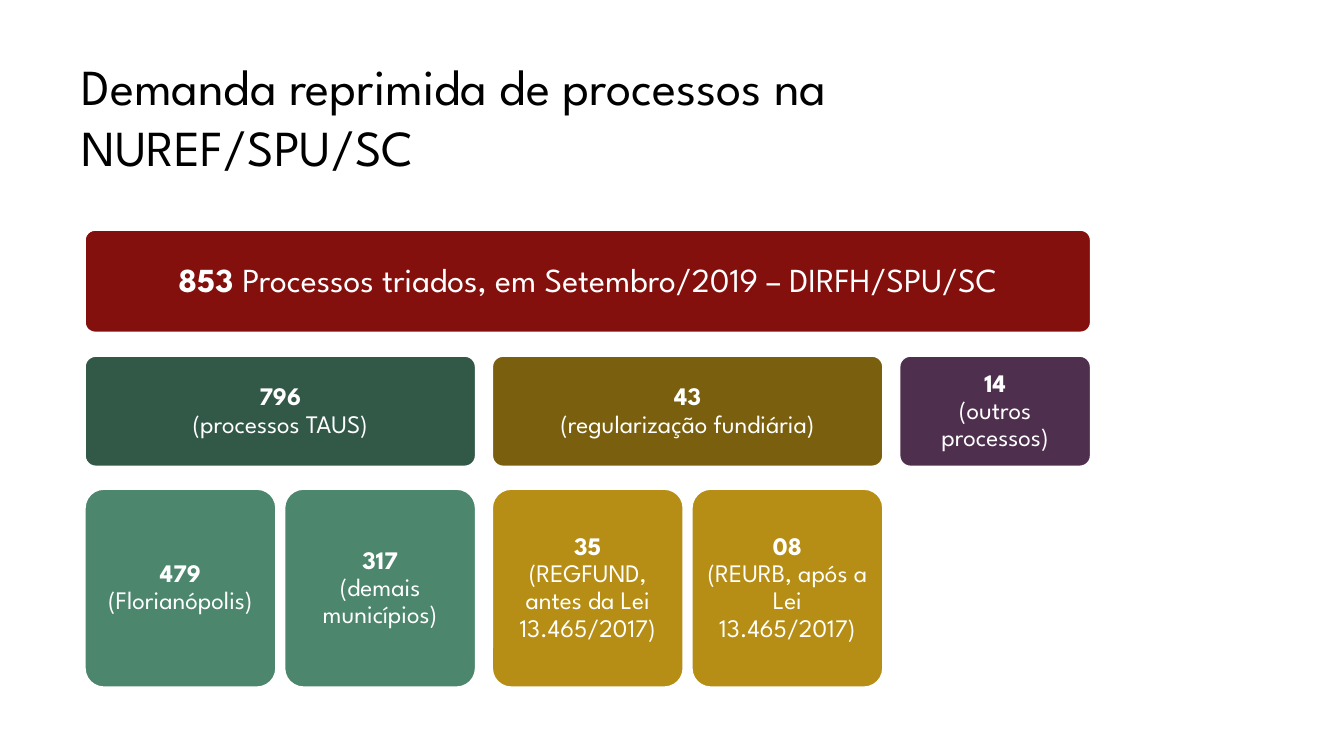
import pptx
import pptx.util
import pptx.dml.color
import pptx.enum.shapes
import pptx.enum.text

Inches, Pt = pptx.util.Inches, pptx.util.Pt
RGB = pptx.dml.color.RGBColor.from_string
ALIGN = pptx.enum.text.PP_ALIGN
ANCHOR = pptx.enum.text.MSO_ANCHOR

HUES = {"black": "000000", "white": "FFFFFF", "red": "84100E",
        "pine": "325948", "green": "4B866D", "olive": "795F0E",
        "gold": "B68E15", "plum": "4F2F4E"}

# Grid: columns come in pairs, rows are (top, height)
LEFT, PAIR, STEP, CELL = 0.84, 4.04, 1.98, 1.9
ROWS = [(2.28, 1.02), (3.53, 1.1), (4.85, 1.97)]


def add_run(para, text, size, hue, bold=False):
    run = para.add_run()
    run.text = text
    font = run.font
    font.name, font.size, font.bold = "League Spartan", Pt(size), bold
    font.color.rgb = RGB(HUES[hue])


def add_card(row, col, span, hue, size, lines):
    top, high = ROWS[row]
    left = LEFT + col // 2 * PAIR + col % 2 * STEP
    last = col + span - 1
    wide = LEFT + last // 2 * PAIR + last % 2 * STEP + CELL - left
    card = slide.shapes.add_shape(
        pptx.enum.shapes.MSO_SHAPE.ROUNDED_RECTANGLE,
        Inches(left), Inches(top), Inches(wide), Inches(high))
    card.adjustments[0] = 0.1
    card.shadow.inherit = False
    card.fill.solid()
    card.fill.fore_color.rgb = RGB(HUES[hue])
    card.line.color.rgb = RGB(HUES["white"])
    card.line.width = Pt(1.5)
    frame = card.text_frame
    frame.word_wrap = True
    frame.vertical_anchor = ANCHOR.MIDDLE
    frame.margin_left = frame.margin_right = Inches(0.06)
    frame.margin_top = frame.margin_bottom = Inches(0.06)
    for i, runs in enumerate(lines):
        para = frame.add_paragraph() if i else frame.paragraphs[0]
        para.alignment = ALIGN.CENTER
        para.line_spacing = 0.9
        for text, bold in runs:
            add_run(para, text, size, "white", bold)


deck = pptx.Presentation()
deck.slide_width, deck.slide_height = Inches(13.33), Inches(7.5)
slide = deck.slides.add_slide(deck.slide_layouts[5])

# Title
title = slide.shapes.title
title.left, title.top = Inches(0.71), Inches(0.5)
title.width, title.height = Inches(10.28), Inches(1.53)
frame = title.text_frame
frame.word_wrap = True
frame.auto_size = pptx.enum.text.MSO_AUTO_SIZE.NONE
frame.vertical_anchor = ANCHOR.TOP
para = frame.paragraphs[0]
para.alignment = ALIGN.LEFT
add_run(para, "Demanda reprimida de processos na NUREF/SPU/SC", 36, "black")

# Total
add_card(0, 0, 5, "red", 24, [[
    ("853 ", True),
    ("Processos triados, em Setembro/2019 – DIRFH/SPU/SC", False)]])

# Breakdown: row, column, span, colour, count, label
cards = [
    (1, 0, 2, "pine", "796", "(processos TAUS)"),
    (2, 0, 1, "green", "479", "(Florianópolis)"),
    (2, 1, 1, "green", "317", "(demais municípios)"),
    (1, 2, 2, "olive", "43", "(regularização fundiária)"),
    (2, 2, 1, "gold", "35", "(REGFUND, antes da Lei 13.465/2017)"),
    (2, 3, 1, "gold", "08", "(REURB, após a Lei 13.465/2017)"),
    (1, 4, 1, "plum", "14", "(outros processos)"),
]
for row, col, span, hue, count, label in cards:
    add_card(row, col, span, hue, 18, [[(count, True)], [(label, False)]])

deck.save("out.pptx")
